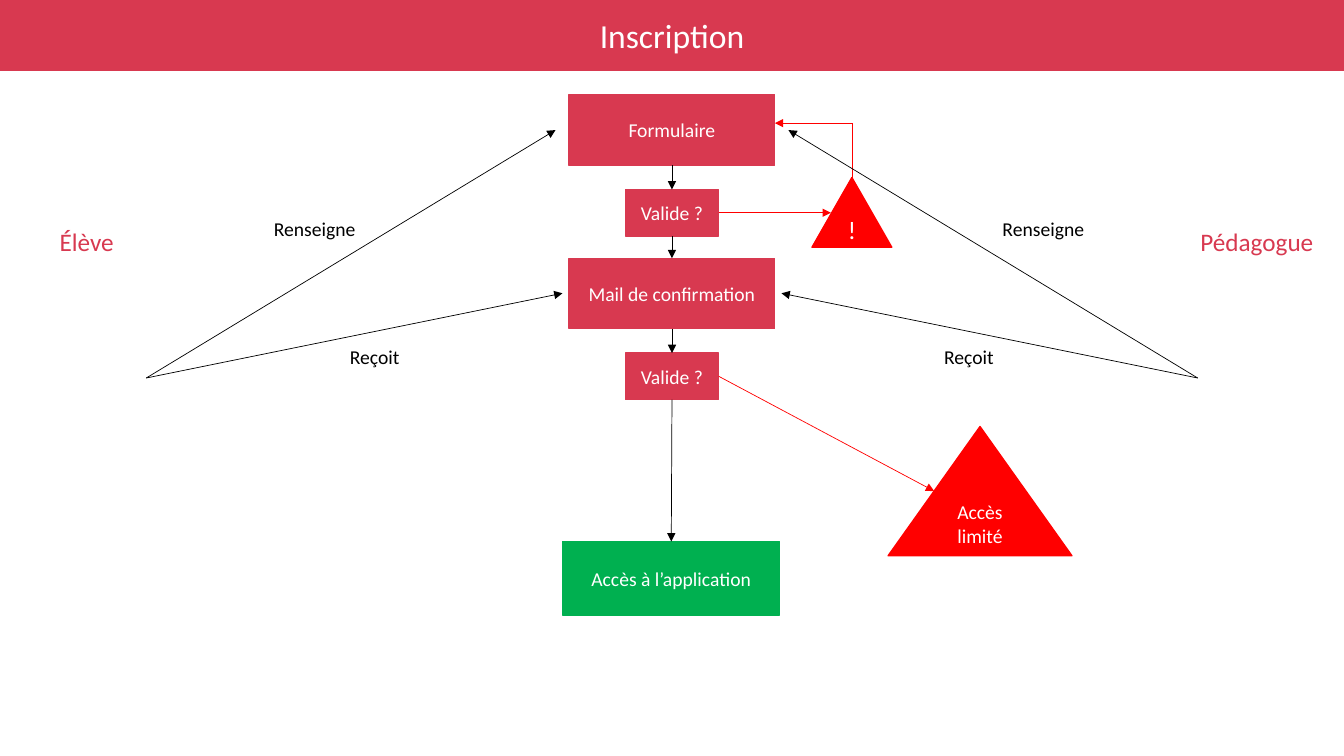
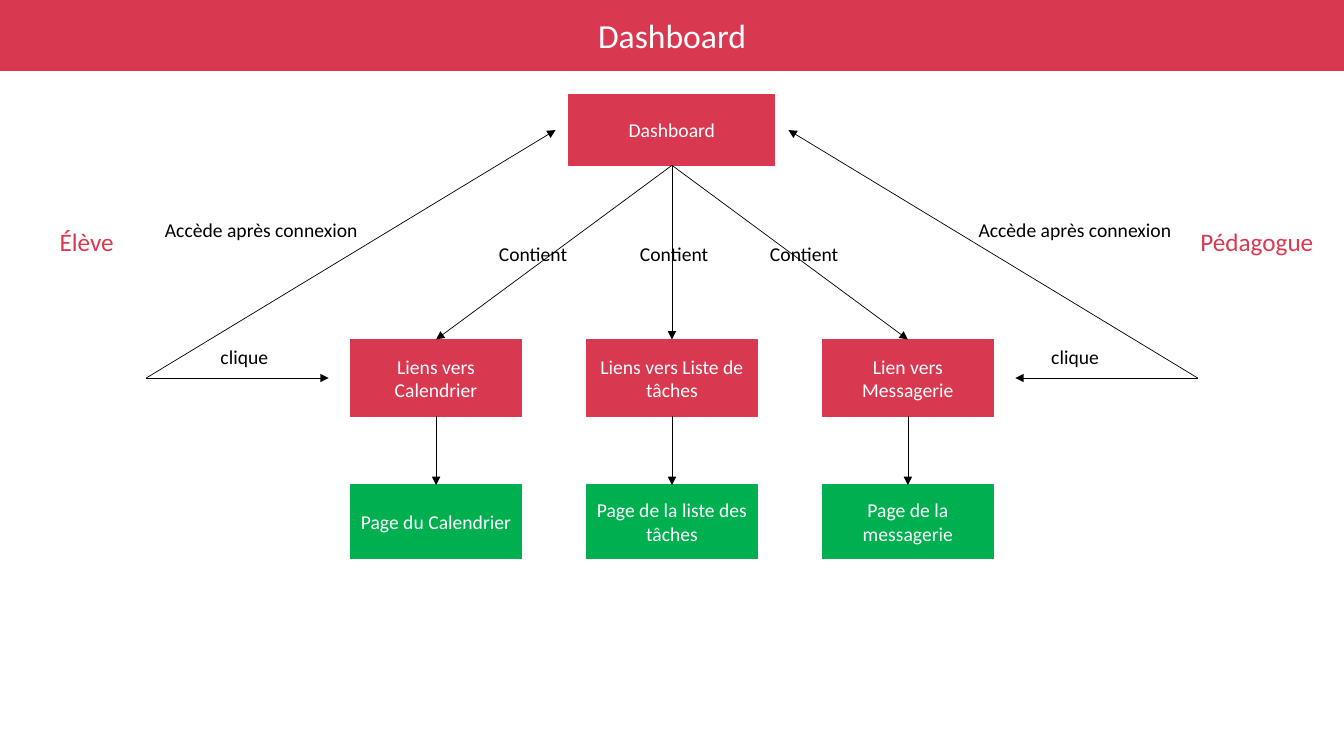
from dataclasses import dataclass
from lxml import etree
from pptx import Presentation
from pptx.dml.color import RGBColor
from pptx.enum.shapes import MSO_CONNECTOR, MSO_SHAPE
from pptx.enum.text import MSO_ANCHOR, PP_ALIGN
from pptx.oxml.ns import qn
from pptx.util import Pt

RECT = MSO_SHAPE.RECTANGLE
TRIANGLE = MSO_SHAPE.ISOSCELES_TRIANGLE
STRAIGHT = MSO_CONNECTOR.STRAIGHT
MIDDLE = MSO_ANCHOR.MIDDLE
CENTER = PP_ALIGN.CENTER
LEFT = PP_ALIGN.LEFT
TOP_SITE, BOTTOM_SITE = 0, 2
WIDTH, HEIGHT = 960, 540
MID = WIDTH / 2


@dataclass(frozen=True)
class Theme:
    font: str = "Calibri"
    brand: str = "D83950"
    done: str = "00B050"
    alert: str = "FF0000"
    ink: str = "000000"
    paper: str = "FFFFFF"
    title: int = 24
    role: int = 18
    body: int = 14
    edge: float = 1
    thin: float = 0.5


class Deck:
    def __init__(self, theme):
        self.theme = theme
        self.file = Presentation()
        self.file.slide_width, self.file.slide_height = Pt(WIDTH), Pt(HEIGHT)
        self.slide = None

    def words(self, shape, text, size, color, align=CENTER):
        frame = shape.text_frame
        frame.word_wrap = True
        frame.text = text
        for para in frame.paragraphs:
            para.alignment = align
            para.font.name = self.theme.font
            para.font.size = Pt(size)
            para.font.color.rgb = RGBColor.from_string(color)

    def shape(self, kind, left, top, width, height, color):
        shape = self.slide.shapes.add_shape(kind, Pt(left), Pt(top), Pt(width), Pt(height))
        shape.shadow.inherit = False
        shape.fill.solid()
        shape.fill.fore_color.rgb = RGBColor.from_string(color)
        shape.line.color.rgb = RGBColor.from_string(color)
        shape.line.width = Pt(self.theme.edge)
        return shape

    def start(self, text):
        self.slide = self.file.slides.add_slide(self.file.slide_layouts[5])
        title = self.slide.shapes.title
        title.left, title.top, title.width, title.height = Pt(225), Pt(7.2), Pt(510), Pt(36)
        title.text_frame.vertical_anchor = MIDDLE
        self.words(title, text, self.theme.title, self.theme.paper)
        band = self.shape(RECT, 0, 0, WIDTH, 50.4, self.theme.brand)
        title.element.addprevious(band.element)

    def box(self, text, mid, top, width, height, color=None):
        box = self.shape(RECT, mid - width / 2, top, width, height, color or self.theme.brand)
        box.text_frame.vertical_anchor = MIDDLE
        self.words(box, text, self.theme.body, self.theme.paper)
        return box

    def alert(self, text, left, top, width, height, size):
        sign = self.shape(TRIANGLE, left, top, width, height, self.theme.alert)
        sign.text_frame.vertical_anchor = MIDDLE
        self.words(sign, text, size, self.theme.paper)

    def label(self, text, left, top, width):
        note = self.slide.shapes.add_textbox(Pt(left), Pt(top), Pt(width), Pt(24.2))
        self.words(note, text, self.theme.body, self.theme.ink, LEFT)

    def role(self, text, left, width):
        note = self.slide.shapes.add_textbox(Pt(left), Pt(158.4), Pt(width), Pt(29))
        self.words(note, text, self.theme.role, self.theme.brand)

    def line(self, start, end, color=None, head=True):
        line = self.slide.shapes.add_connector(STRAIGHT, *map(Pt, start + end))
        line.line.color.rgb = RGBColor.from_string(color or self.theme.ink)
        line.line.width = Pt(self.theme.thin)
        props = line.element.spPr
        if head:
            etree.SubElement(props.find(qn("a:ln")), qn("a:tailEnd"), type="triangle")
        etree.SubElement(props, qn("a:effectLst"))
        return line

    def link(self, upper, lower):
        line = self.line((0, 0), (0, 0))
        line.begin_connect(upper, BOTTOM_SITE)
        line.end_connect(lower, TOP_SITE)

    def mirror(self, start, end):
        self.line(start, end)
        self.line((WIDTH - start[0], start[1]), (WIDTH - end[0], end[1]))

    def actors(self, target):
        self.role("Élève", 22.3, 79.2)
        self.role("Pédagogue", 839.5, 116.6)
        origin = (104.5, 270)
        self.mirror(origin, (396.8, 92.9))
        self.mirror(origin, target)


theme = Theme()
deck = Deck(theme)

deck.start("Inscription")
form = deck.box("Formulaire", MID, 67.5, 147, 50.6)
check = deck.box("Valide ?", MID, 135.4, 66.8, 33.2)
mail = deck.box("Mail de confirmation", MID, 184.5, 147, 50.4)
proof = deck.box("Valide ?", MID, 252.2, 66.8, 33.2)
entry = deck.box("Accès à l’application", MID - 0.5, 386.8, 155, 52.6, theme.done)
steps = [form, check, mail, proof, entry]
for upper, lower in zip(steps, steps[1:]):
    deck.link(upper, lower)
deck.alert("!", 580, 126.8, 57, 49.8, theme.role)
deck.alert("Accès limité", 634.4, 304.7, 131.3, 92.3, theme.body)
deck.line((513.4, 152), (593.5, 152), theme.alert)
deck.line((608.5, 88), (553.5, 88), theme.alert)
deck.line((608.5, 88), (608.5, 126.8), theme.alert, head=False)
deck.line((513.4, 268.8), (667.3, 350.8), theme.alert)
deck.actors((401.8, 209.5))
for left in (188.5, 709):
    deck.label("Renseigne", left, 151.6, 80)
for left in (242.8, 667.3):
    deck.label("Reçoit", left, 242.8, 56.2)

deck.start("Dashboard")
home = deck.box("Dashboard", MID, 67.5, 147, 50.6)
columns = [
    ("Liens vers Calendrier", "Page du Calendrier", 349.2),
    ("Liens vers Liste de tâches", "Page de la liste des tâches", 450),
    ("Lien vers Messagerie", "Page de la messagerie", 542.9),
]
for index, (menu, page, note) in enumerate(columns):
    mid = MID + (index - 1) * 168.5
    entry = deck.box(menu, mid, 242.5, 122, 55)
    view = deck.box(page, mid, 346.5, 122, 52.6, theme.done)
    deck.link(home, entry)
    deck.link(entry, view)
    deck.label("Contient", note, 169.4, 65.5)
deck.actors((234.8, 270))
for left in (110.7, 691.9):
    deck.label("Accède après connexion", left, 151.9, 157)
for left in (150.4, 743.8):
    deck.label("clique", left, 242.8, 65.5)

deck.file.save("out.pptx")
